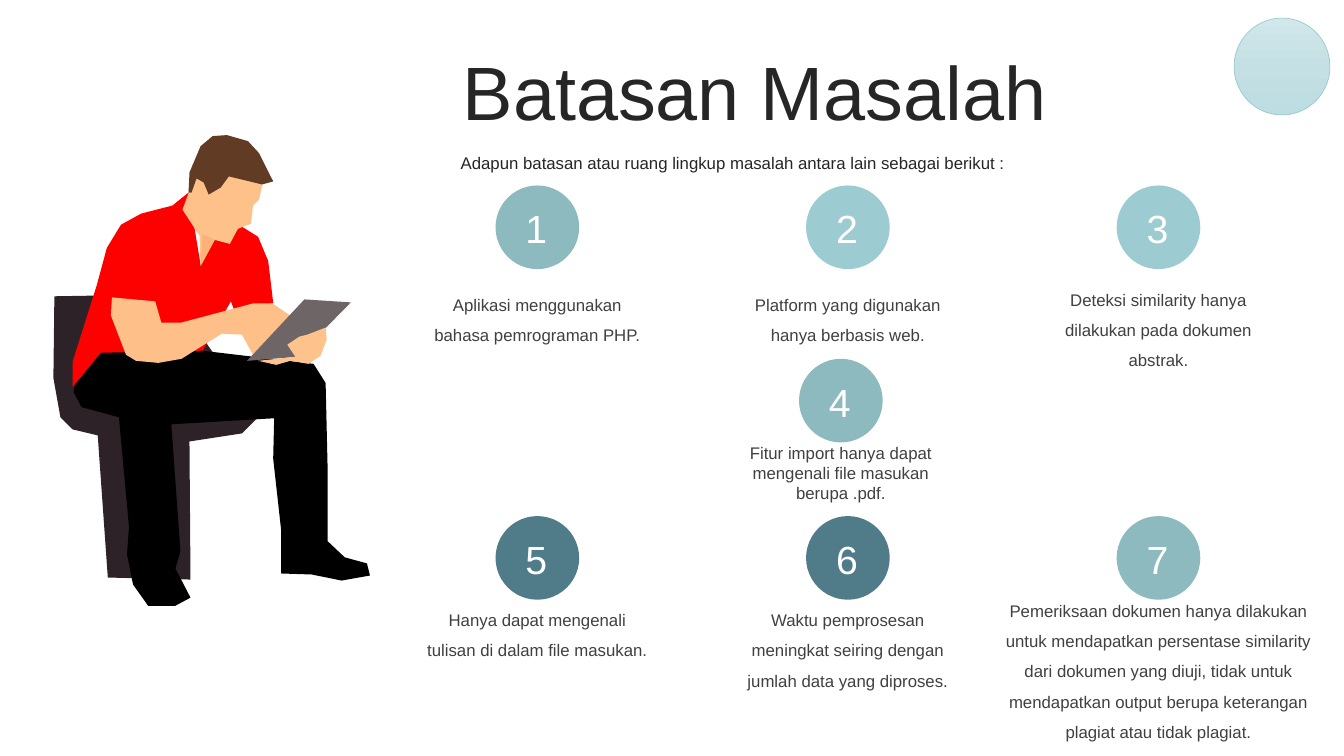
import copy

import pptx
import pptx.dml.color
import pptx.enum.shapes
import pptx.enum.text
import pptx.util

Inches = pptx.util.Inches
Pt = pptx.util.Pt
RGB = pptx.dml.color.RGBColor.from_string
PP = pptx.enum.text.PP_ALIGN
ANCHOR = pptx.enum.text.MSO_ANCHOR
OVAL = pptx.enum.shapes.MSO_SHAPE.OVAL

THEME = {
    "font": "Arial",
    "sizes": {"title": Pt(54), "intro": Pt(12), "number": Pt(28), "body": Pt(12)},
    "colors": {
        "title": "262626", "intro": "262626", "number": "FFFFFF", "body": "404040",
        "sage": "8CBABE", "sky": "9CCCD2", "teal": "507C89",
        "chair": "2D2227", "trousers": "000000", "shirt": "FD0000",
        "arm": "FEBF89", "hand": "FEC28C", "face": "FEC18A", "neck": "FDB179",
        "tablet": "6E6566", "hair": "623B24",
    },
    "corner": ["D1E7EA", "C4E0E4", "BCDDE2"],
}
COLORS = THEME["colors"]

prs = pptx.Presentation()
prs.slide_width, prs.slide_height = Inches(13.33), Inches(7.5)
s = prs.slides.add_slide(prs.slide_layouts[6])


def add_text(text, role, left, top, width, height, anchor=ANCHOR.TOP, **paragraph_format):
    tf = s.shapes.add_textbox(Inches(left), Inches(top), Inches(width), Inches(height)).text_frame
    tf.word_wrap = True
    tf.vertical_anchor = anchor
    p = tf.paragraphs[0]
    for name, value in paragraph_format.items():
        setattr(p, name, value)
    r = p.add_run()
    r.text = text
    font_format = {"name": THEME["font"], "size": THEME["sizes"][role]}
    for name, value in font_format.items():
        setattr(r.font, name, value)
    r.font.color.rgb = RGB(COLORS[role])


def paint(sp, color):
    sp.shadow.inherit = False
    sp.fill.solid()
    sp.fill.fore_color.rgb = RGB(color)
    sp.line.fill.background()


# Heading
add_text("Batasan Masalah", "title", 4.49, 0.39, 8.21, 1.01, ANCHOR.MIDDLE)
add_text("Adapun batasan atau ruang lingkup masalah antara lain sebagai berikut :",
         "intro", 4.47, 1.47, 8.21, 0.3)

# Numbered limits: centre, row top, colour, drop to the text, text width, line spacing, text
DOT = 0.83
LEFT, MIDDLE, RIGHT = [5.33 + 3.08 * column for column in range(3)]
UPPER, CENTRAL, LOWER = 1.84, 3.56, 5.12
NARROW, WIDE = 2.4, 3.51
LIMITS = [
    (LEFT, UPPER, "sage", 0.93, NARROW, 1.5, "Aplikasi menggunakan bahasa pemrograman PHP."),
    (MIDDLE, UPPER, "sky", 0.93, NARROW, 1.5, "Platform yang digunakan hanya berbasis web."),
    (RIGHT, UPPER, "sky", 0.88, NARROW, 1.5,
     "Deteksi similarity hanya dilakukan pada dokumen abstrak."),
    (MIDDLE - 0.07, CENTRAL, "sage", 0.78, NARROW, 1.0,
     "Fitur import hanya dapat mengenali file masukan berupa .pdf."),
    (LEFT, LOWER, "teal", 0.78, NARROW, 1.5,
     "Hanya dapat mengenali tulisan di dalam file masukan."),
    (MIDDLE, LOWER, "teal", 0.78, NARROW, 1.5,
     "Waktu pemprosesan meningkat seiring dengan jumlah data yang diproses."),
    (RIGHT, LOWER, "sage", 0.69, WIDE, 1.5,
     "Pemeriksaan dokumen hanya dilakukan untuk mendapatkan persentase similarity "
     "dari dokumen yang diuji, tidak untuk mendapatkan output berupa keterangan "
     "plagiat atau tidak plagiat."),
]
for number, (center, top, color, drop, width, spacing, text) in enumerate(LIMITS, 1):
    paint(s.shapes.add_shape(OVAL, Inches(center - DOT / 2), Inches(top),
                             Inches(DOT), Inches(DOT)), COLORS[color])
    add_text(str(number), "number", center - 0.37, top + 0.14, 0.72, 0.57, alignment=PP.CENTER)
    add_text(text, "body", center - width / 2, top + drop, width, 0.91,
             alignment=PP.CENTER, line_spacing=spacing)

# Seated man with a tablet: outlines in hundredths of an inch, back to front
MAN = {
    "chair": [(171, 292), (54, 294), (53, 375), (60, 414), (72, 426), (97, 432), (107, 573),
              (189, 575), (188, 438), (240, 430), (256, 414)],
    "trousers": [(325, 537), (342, 553), (364, 559), (367, 571), (339, 576), (309, 570),
                 (279, 569), (279, 527), (271, 455), (272, 415), (170, 421), (179, 547),
                 (174, 564), (189, 593), (174, 601), (147, 601), (132, 580), (126, 550),
                 (128, 523), (118, 414), (81, 404), (73, 389), (80, 352), (100, 345),
                 (201, 348), (311, 361), (323, 380), (325, 466)],
    "shirt": [(100, 350), (72, 384), (72, 359), (96, 283), (106, 246), (120, 223), (140, 212),
              (171, 204), (187, 191), (199, 263), (213, 237), (240, 225), (256, 235),
              (266, 259), (271, 301), (232, 307), (229, 299), (201, 348)],
    "arm": [(125, 352), (110, 313), (111, 295), (154, 299), (160, 320), (180, 320), (251, 301),
            (270, 301), (288, 313), (251, 352), (240, 332), (220, 331), (180, 356),
            (157, 360), (135, 358)],
    "tablet": [(302, 297), (348, 300), (295, 354), (245, 358)],
    "hand": [(256, 358), (293, 354), (285, 342), (297, 334), (305, 332), (323, 325),
             (324, 337), (318, 353), (306, 361), (288, 358), (274, 362)],
    "face": [(191, 163), (187, 192), (181, 208), (198, 234), (199, 264), (213, 238), (228, 242),
             (236, 227), (249, 222), (251, 204), (257, 198), (261, 180), (225, 150)],
    "neck": [(201, 232), (213, 238), (199, 264)],
    "hair": [(260, 183), (227, 175), (219, 186), (207, 193), (202, 181), (195, 177), (190, 191),
             (187, 191), (188, 171), (199, 145), (211, 135), (225, 134), (246, 140),
             (257, 152), (271, 180)],
}
man = s.shapes.add_group_shape()
for part, outline in MAN.items():
    builder = man.shapes.build_freeform(*outline[0], scale=Inches(0.01))
    builder.add_line_segments(outline[1:], close=True)
    paint(builder.convert_to_shape(), COLORS[part])

# Corner circle with a vertical three-stop gradient
sp = s.shapes.add_shape(OVAL, Inches(12.24), Inches(0.18), Inches(0.95), Inches(0.96))
sp.shadow.inherit = False
sp.line.color.rgb = RGB(COLORS["sky"])
sp.line.width = Pt(0.5)
sp.fill.gradient()
sp.fill.gradient_angle = 270
stop_list = sp._element.xpath(".//a:gsLst")[0]
stop_list.insert(1, copy.deepcopy(stop_list[0]))
for stop, color, position in zip(sp.fill.gradient_stops, THEME["corner"], (0, 0.5, 1)):
    stop.color.rgb = RGB(color)
    stop.position = position

prs.save("out.pptx")
